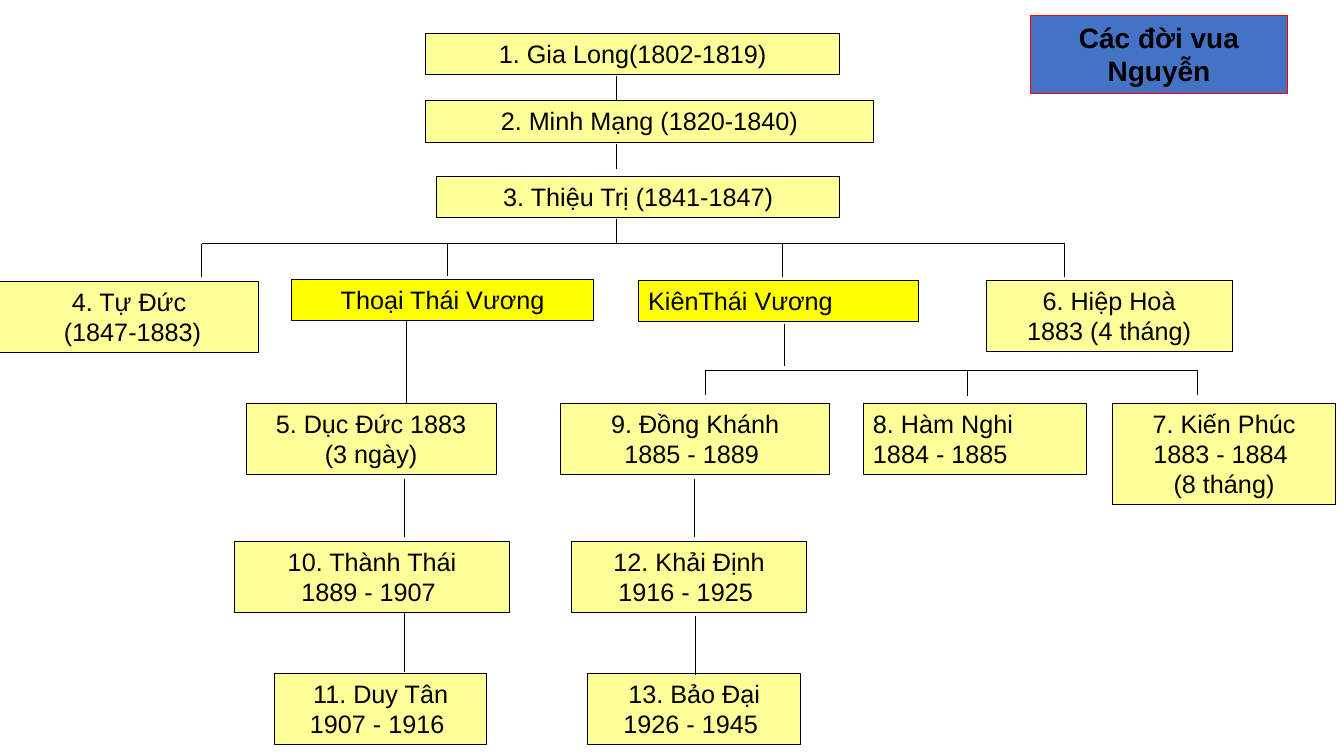
from pptx import Presentation
from pptx.dml.color import RGBColor
from pptx.enum.shapes import MSO_CONNECTOR, MSO_SHAPE
from pptx.enum.text import MSO_ANCHOR, MSO_AUTO_SIZE, PP_ALIGN
from pptx.oxml.ns import qn
from pptx.util import Inches, Pt
from lxml.etree import SubElement

COLORS = {"king": "FFFF99", "prince": "FFFF00", "title": "4472C4",
          "title_line": "FF0000", "ink": "000000"}
HEIGHTS = {1: 0.41, 2: 0.71, 3: 1.01}

KINGS = [
    (4.22, 0.33, 4.11, ["1. Gia Long(1802-1819)"]),
    (4.22, 1, 4.44, ["2. Minh Mạng (1820-1840)"]),
    (4.33, 1.75, 4, ["3. Thiệu Trị (1841-1847)"]),
    (9.78, 2.78, 2.44, ["6. Hiệp Hoà", "1883 (4 tháng)"]),
    (0, 2.79, 2.56, ["4. Tự Đức", " (1847-1883)"]),
    (2.44, 4, 2.48, ["5. Dục Đức 1883", "(3 ngày)"]),
    (5.56, 4, 2.67, ["9. Đồng Khánh", "1885 - 1889 "]),
    (11.03, 4, 2.22, ["7. Kiến Phúc", "1883 - 1884 ", "(8 tháng)"]),
    (2.33, 5.37, 2.72, ["10. Thành Thái", "1889 - 1907 "]),
    (5.67, 5.37, 2.33, ["12. Khải Định", "1916 - 1925 "]),
    (2.72, 6.68, 2.11, ["11. Duy Tân", "1907 - 1916 "]),
    (5.83, 6.68, 2.11, ["13. Bảo Đại", "1926 - 1945 "]),
]
BRANCHES = [(2, 10.56, 2.42), (6.99, 11.87, 3.68)]
DROPS = [
    (6.11, 0.75, 1), (6.11, 1.43, 1.68), (6.11, 2.17, 2.42),
    (2, 2.42, 2.75), (4.44, 2.41, 2.74), (7.76, 2.42, 2.75), (10.56, 2.42, 2.75),
    (7.78, 3.21, 3.63), (7, 3.67, 3.92), (9.6, 3.68, 3.93), (11.88, 3.67, 3.92),
    (4.03, 3.17, 4), (4.01, 4.75, 5.33), (4.01, 6.08, 6.67),
    (6.89, 4.75, 5.33), (6.9, 6.11, 6.7),
]


def rgb(name):
    """Return the named colour."""
    return RGBColor.from_string(COLORS[name])


def write(sp, lines, size=18, bold=False, align=PP_ALIGN.CENTER):
    """Write one paragraph per line into a shape."""
    tf = sp.text_frame
    tf.word_wrap = True
    tf.auto_size = MSO_AUTO_SIZE.NONE
    tf.vertical_anchor = MSO_ANCHOR.TOP
    tf.margin_left = tf.margin_right = Inches(0.1)
    tf.margin_top = tf.margin_bottom = Inches(0.05)
    for i, line in enumerate(lines):
        p = tf.add_paragraph() if i else tf.paragraphs[0]
        p.alignment = align
        r = p.add_run()
        r.text = line
        r.font.name = "Arial"
        r.font.size = Pt(size)
        r.font.bold = bold
        r.font.color.rgb = rgb("ink")


def paint(sp, fill, line="ink"):
    """Give a shape its fill and thin outline."""
    sp.fill.solid()
    sp.fill.fore_color.rgb = rgb(fill)
    sp.line.color.rgb = rgb(line)
    sp.line.width = Pt(0.75)


def add_title(s, text):
    """Place and format the title placeholder."""
    sp = s.shapes.title
    sp.left, sp.top = Inches(10.22), Inches(0.15)
    sp.width, sp.height = Inches(2.55), Inches(0.78)
    paint(sp, "title", "title_line")
    write(sp, [text], size=20, bold=True)


def add_person(s, x, y, w, lines, fill="king", align=PP_ALIGN.CENTER):
    """Add a family member's box, as tall as its lines need."""
    sp = s.shapes.add_shape(MSO_SHAPE.RECTANGLE, Inches(x), Inches(y),
                            Inches(w), Inches(HEIGHTS[len(lines)]))
    sp.shadow.inherit = False
    paint(sp, fill)
    write(sp, lines, align=align)


def add_line(s, x1, y1, x2, y2):
    """Add a thin straight line without shadow."""
    cn = s.shapes.add_connector(MSO_CONNECTOR.STRAIGHT, Inches(x1), Inches(y1),
                                Inches(x2), Inches(y2))
    cn.line.color.rgb = rgb("ink")
    cn.line.width = Pt(0.75)
    SubElement(cn._element.spPr, qn("a:effectLst"))


def main():
    """Build the family tree slide."""
    prs = Presentation()
    prs.slide_width, prs.slide_height = Inches(13.33), Inches(7.5)
    s = prs.slides.add_slide(prs.slide_layouts[5])
    add_title(s, "Các đời vua Nguyễn")
    for king in KINGS:
        add_person(s, *king)
    add_person(s, 8.56, 4, 2.22, ["8. Hàm Nghi", "1884 - 1885"], align=PP_ALIGN.LEFT)
    add_person(s, 2.89, 2.77, 3, ["Thoại Thái Vương"], fill="prince")
    add_person(s, 6.33, 2.78, 2.78, ["KiênThái Vương"], fill="prince",
               align=PP_ALIGN.LEFT)
    for x1, x2, y in BRANCHES:
        add_line(s, x1, y, x2, y)
    for x, y1, y2 in DROPS:
        add_line(s, x, y1, x, y2)
    prs.save("out.pptx")


if __name__ == "__main__":
    main()
